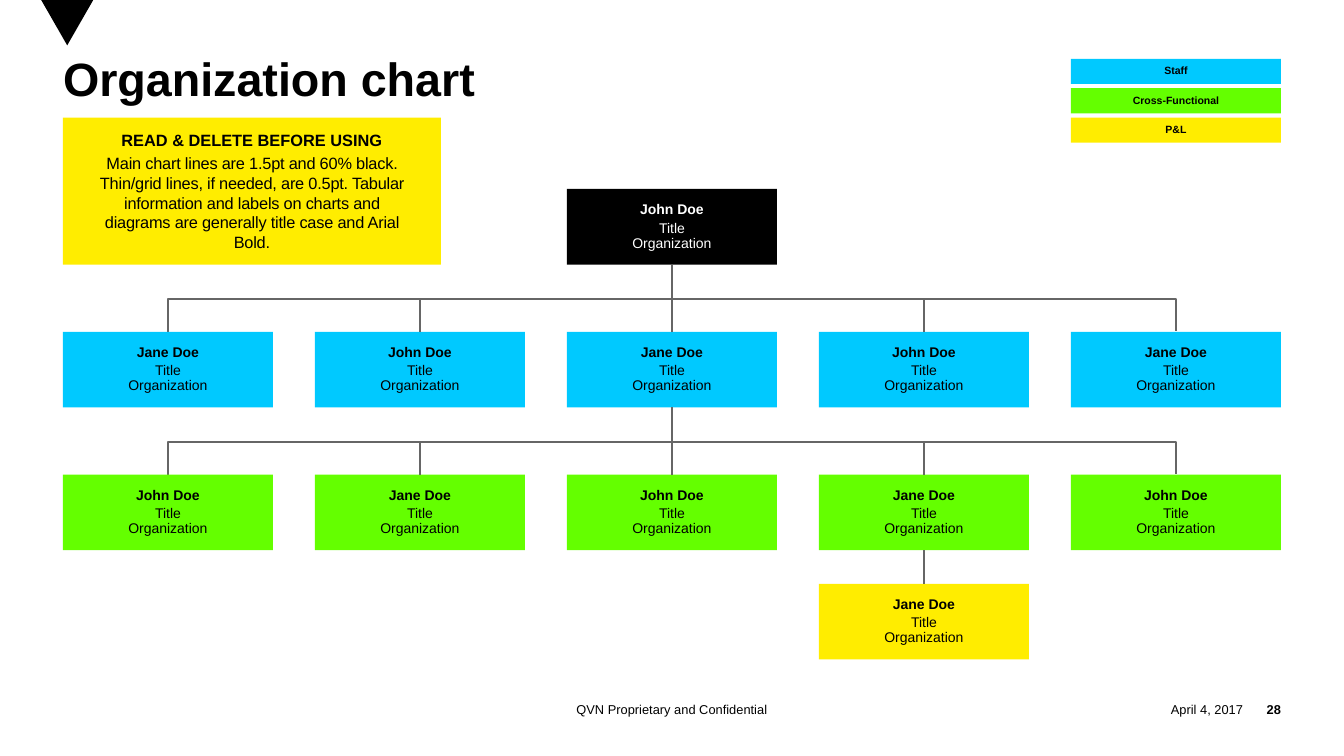
from dataclasses import dataclass

import pptx
import pptx.dml.color
import pptx.enum.shapes
import pptx.enum.text
import pptx.oxml.ns
import pptx.oxml.xmlchemy
import pptx.shapes.autoshape
import pptx.shapes.connector
import pptx.slide
import pptx.text.text
import pptx.util

Inches = pptx.util.Inches
Pt = pptx.util.Pt
RGBColor = pptx.dml.color.RGBColor
Align = pptx.enum.text.PP_ALIGN
Anchor = pptx.enum.text.MSO_ANCHOR
Kind = pptx.enum.shapes.MSO_CONNECTOR

BLACK = RGBColor(0x00, 0x00, 0x00)
WHITE = RGBColor(0xFF, 0xFF, 0xFF)
GRAY = RGBColor(0x66, 0x66, 0x66)
BLUE = RGBColor(0x00, 0xC9, 0xFF)
GREEN = RGBColor(0x64, 0xFF, 0x00)
YELLOW = RGBColor(0xFF, 0xED, 0x00)

MARGIN = 0.75
COLUMN_STEP = 3
CARD_WIDTH = 2.5
CARD_HEIGHT = 0.9
BUS_RISE = 0.4
BUS_SPAN = 4 * COLUMN_STEP
BUS_DEPTH = 0.01


@dataclass
class Card:
    name: str
    column: int
    top: float
    fill: RGBColor
    color: RGBColor = BLACK


@dataclass
class Legend:
    label: str
    fill: RGBColor


@dataclass
class Footer:
    text: str
    left: float
    width: float
    align: Align
    bold: bool = False


LEGENDS = [Legend("Staff", BLUE), Legend("Cross-Functional", GREEN), Legend("P&L", YELLOW)]
FOOTERS = [
    Footer("April 4, 2017", 13.01, 1.79, Align.RIGHT),
    Footer("28", 14.8, 0.45, Align.RIGHT, True),
    Footer("QVN Proprietary and Confidential", 5.25, 5.5, Align.CENTER),
]
NOTE = (
    "READ & DELETE BEFORE USING\n"
    "Main chart lines are 1.5pt and 60% black. Thin/grid lines, if needed, are 0.5pt. "
    "Tabular information and labels on charts and diagrams are generally title case and Arial Bold."
)


def column_left(column: int) -> float:
    return MARGIN + column * COLUMN_STEP


def column_center(column: int) -> float:
    return column_left(column) + CARD_WIDTH / 2


def style_paragraph(para: pptx.text.text._Paragraph, size: float, color: RGBColor,
                    bold: bool, align: Align, spacing: float = 1.0) -> None:
    para.alignment = align
    para.line_spacing = spacing
    for span in para.runs:
        span.font.name = "Arial"
        span.font.size = Pt(size)
        span.font.bold = bold
        span.font.color.rgb = color


def set_margins(frame: pptx.text.text.TextFrame, side: float, edge: float) -> None:
    frame.margin_left = frame.margin_right = Inches(side)
    frame.margin_top = frame.margin_bottom = Inches(edge)


def add_block(page: pptx.slide.Slide, left: float, top: float, width: float, height: float,
              fill: RGBColor, text: str) -> pptx.shapes.autoshape.Shape:
    box = page.shapes.add_shape(pptx.enum.shapes.MSO_SHAPE.RECTANGLE,
                                Inches(left), Inches(top), Inches(width), Inches(height))
    box.shadow.inherit = False
    box.fill.solid()
    box.fill.fore_color.rgb = fill
    box.line.fill.background()
    frame = box.text_frame
    frame.text = text
    frame.word_wrap = False
    frame.vertical_anchor = Anchor.MIDDLE
    return box


def add_card(page: pptx.slide.Slide, card: Card) -> pptx.shapes.autoshape.Shape:
    box = add_block(page, column_left(card.column), card.top, CARD_WIDTH, CARD_HEIGHT,
                    card.fill, f"{card.name}\nTitle\vOrganization")
    name, role = box.text_frame.paragraphs
    style_paragraph(name, 12, card.color, True, Align.CENTER, 0.9)
    name.space_after = Pt(3)
    style_paragraph(role, 12, card.color, False, Align.CENTER, 0.9)
    return box


def add_line(page: pptx.slide.Slide, x1: float, y1: float, x2: float, y2: float,
             kind: Kind = Kind.STRAIGHT) -> pptx.shapes.connector.Connector:
    line = page.shapes.add_connector(kind, Inches(x1), Inches(y1), Inches(x2), Inches(y2))
    line.line.color.rgb = GRAY
    line.line.width = Pt(1.5)
    line._element.spPr.append(pptx.oxml.xmlchemy.OxmlElement("a:effectLst"))
    return line


def add_bus(page: pptx.slide.Slide, row_top: float) -> None:
    middle = column_center(2)
    half_depth, half_span = BUS_DEPTH / 2, BUS_SPAN / 2
    bus = add_line(page, middle + half_depth, row_top + half_span,
                   middle - half_depth, row_top - half_span, Kind.ELBOW)
    properties = bus._element.spPr
    properties.find(pptx.oxml.ns.qn("a:xfrm")).set("rot", "5400000")
    adjustments = properties.find(pptx.oxml.ns.qn("a:prstGeom")).get_or_add_avLst()
    guide = pptx.oxml.xmlchemy.OxmlElement("a:gd")
    guide.set("name", "adj1")
    guide.set("fmla", f"val {round(BUS_RISE / BUS_DEPTH * 100000)}")
    adjustments.append(guide)


def join_cards(page: pptx.slide.Slide, parent: pptx.shapes.autoshape.Shape,
               child: pptx.shapes.autoshape.Shape) -> None:
    line = add_line(page, 0, 0, 1, 1)
    line.begin_connect(parent, 2)
    line.end_connect(child, 0)


def add_row(page: pptx.slide.Slide, parent: pptx.shapes.autoshape.Shape, top: float,
            fill: RGBColor, names: list[str]) -> list[pptx.shapes.autoshape.Shape]:
    add_bus(page, top)
    boxes = [add_card(page, Card(name, column, top, fill)) for column, name in enumerate(names)]
    join_cards(page, parent, boxes[2])
    for column in (1, 3):
        center = column_center(column)
        drop = add_line(page, center, top, center, top - BUS_RISE)
        drop.begin_connect(boxes[column], 0)
    return boxes


def add_title(page: pptx.slide.Slide) -> None:
    title = page.shapes.title
    title.left, title.top = Inches(MARGIN), Inches(0.7)
    title.width, title.height = Inches(14.5), Inches(1.55)
    frame = title.text_frame
    frame.text = "Organization chart"
    frame.auto_size = pptx.enum.text.MSO_AUTO_SIZE.NONE
    frame.vertical_anchor = Anchor.TOP
    set_margins(frame, 0, 0)
    style_paragraph(frame.paragraphs[0], 40, BLACK, True, Align.LEFT, 0.85)


def add_marker(page: pptx.slide.Slide) -> None:
    builder = page.shapes.build_freeform(Inches(0.49), 0)
    builder.add_line_segments([(Inches(0.8), Inches(0.54)), (Inches(1.11), 0)])
    marker = builder.convert_to_shape()
    marker.shadow.inherit = False
    marker.fill.solid()
    marker.fill.fore_color.rgb = BLACK
    marker.line.fill.background()


def add_footer(page: pptx.slide.Slide, footer: Footer) -> None:
    box = page.shapes.add_textbox(Inches(footer.left), Inches(8.29),
                                  Inches(footer.width), Inches(0.3))
    frame = box.text_frame
    frame.text = footer.text
    frame.word_wrap = True
    frame.vertical_anchor = Anchor.MIDDLE
    set_margins(frame, 0, 0)
    style_paragraph(frame.paragraphs[0], 11, BLACK, footer.bold, footer.align)


def add_note(page: pptx.slide.Slide) -> None:
    frame = add_block(page, MARGIN, 1.4, 4.5, 1.75, YELLOW, NOTE).text_frame
    frame.word_wrap = True
    set_margins(frame, 0.32, 0.16)
    heading, body = frame.paragraphs
    style_paragraph(heading, 14, BLACK, True, Align.CENTER)
    style_paragraph(body, 14, BLACK, False, Align.CENTER)
    body.space_before = Pt(3)
    body.runs[0].font._element.set("spc", "-20")


def main() -> None:
    deck = pptx.Presentation()
    deck.slide_width, deck.slide_height = Inches(16), Inches(9)
    page = deck.slides.add_slide(deck.slide_layouts[5])
    add_marker(page)
    add_title(page)
    for footer in FOOTERS:
        add_footer(page, footer)
    head = add_card(page, Card("John Doe", 2, 2.25, BLACK, WHITE))
    john, jane = "John Doe", "Jane Doe"
    staff = add_row(page, head, 3.95, BLUE, [jane, john, jane, john, jane])
    teams = add_row(page, staff[2], 5.65, GREEN, [john, jane, john, jane, john])
    join_cards(page, teams[3], add_card(page, Card(jane, 3, 6.95, YELLOW)))
    for index, legend in enumerate(LEGENDS):
        box = add_block(page, column_left(4), 0.7 + index * 0.35, CARD_WIDTH, 0.3,
                        legend.fill, legend.label)
        style_paragraph(box.text_frame.paragraphs[0], 9, BLACK, True, Align.CENTER, 0.9)
    add_note(page)
    deck.save("out.pptx")


if __name__ == "__main__":
    main()
